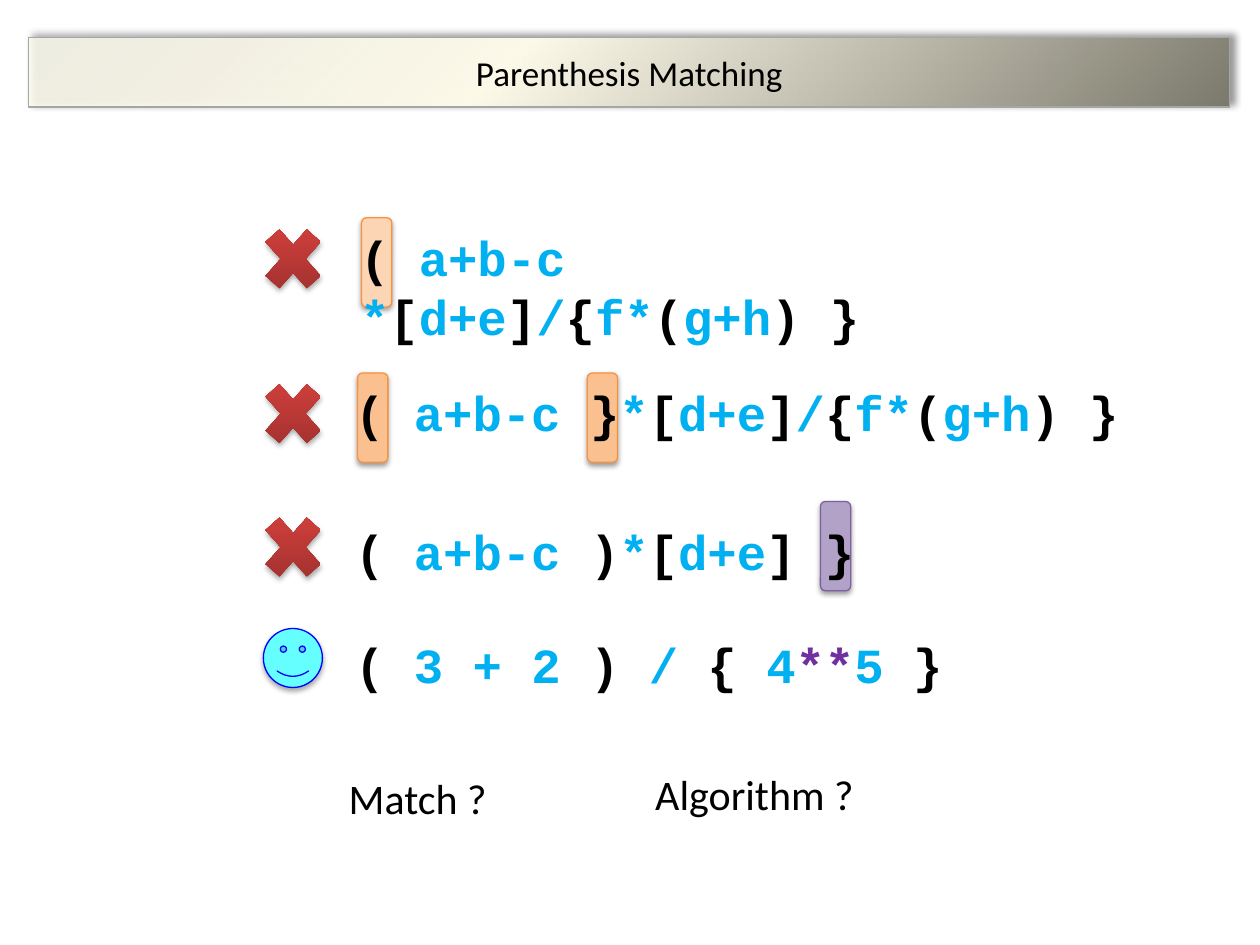
from dataclasses import dataclass
from itertools import groupby

from lxml import etree
from pptx import Presentation
from pptx.dml.color import RGBColor
from pptx.enum.shapes import MSO_SHAPE
from pptx.enum.text import MSO_ANCHOR, PP_ALIGN
from pptx.oxml.ns import qn
from pptx.util import Cm, Pt

ROUND = MSO_SHAPE.ROUNDED_RECTANGLE
CROSS = MSO_SHAPE.MATH_MULTIPLY
SMILE = MSO_SHAPE.SMILEY_FACE
MIDDLE = MSO_ANCHOR.MIDDLE
CENTER = PP_ALIGN.CENTER
LEFT = PP_ALIGN.LEFT


@dataclass(frozen=True)
class Theme:
    body: str = "Calibri"
    code: str = "Courier New"
    title_size: int = 20
    note_size: int = 24
    code_size: int = 28
    ink: str = "000000"
    term: str = "00B0F0"
    power: str = "7030A0"
    edge: str = "A6A6A6"
    peach: str = "FCD5B5"
    orange: str = "FAC090"
    rust: str = "F69240"
    lilac: str = "B3A2C7"
    plum: str = "7D60A0"
    face: str = "66FFFF"
    blue: str = "0000FF"
    bar: tuple = ((0, "FEFCEE", 79), (40, "FDFAEA", 100), (100, "7B796B", 100))
    red: tuple = ((0, "9C2F2D", 100), (80, "CB3E3A", 100), (100, "CE3B37", 100))


THEME = Theme()


def rgb(code):
    return RGBColor.from_string(code)


def add_tone(parent, code, alpha):
    tone = etree.SubElement(parent, qn("a:srgbClr"), val=code)
    if alpha < 100:
        etree.SubElement(tone, qn("a:alpha"), val=str(alpha * 1000))


def set_blend(shape, stops, angle):
    shape.fill.gradient()
    grad = shape.element.spPr.find(qn("a:gradFill"))
    for child in list(grad):
        grad.remove(child)
    group = etree.SubElement(grad, qn("a:gsLst"))
    for pos, code, alpha in stops:
        stop = etree.SubElement(group, qn("a:gs"), pos=str(pos * 1000))
        add_tone(stop, code, alpha)
    etree.SubElement(grad, qn("a:lin"), ang=str(angle * 60000), scaled="0")


def set_shade(shape, alpha, blur, dist, angle):
    shape.shadow.inherit = False
    group = shape.element.spPr.find(qn("a:effectLst"))
    shade = etree.SubElement(
        group, qn("a:outerShdw"), blurRad=str(Pt(blur)), dist=str(Pt(dist)),
        dir=str(angle * 60000), rotWithShape="0")
    add_tone(shade, THEME.ink, alpha)


def set_line(shape, code):
    shape.line.color.rgb = rgb(code)
    shape.line.width = Pt(0.75)


def set_font(para, name, size):
    para.font.name = name
    para.font.size = Pt(size)
    para.font.color.rgb = rgb(THEME.ink)


def set_title(slide, text):
    title = slide.shapes.title
    title.left, title.top = Cm(0.58), Cm(0.76)
    title.width, title.height = Cm(24.21), Cm(1.4)
    set_blend(title, THEME.bar, 45)
    set_line(title, THEME.edge)
    set_shade(title, 40, 4, 3, 315)
    frame = title.text_frame
    frame.text = text
    frame.vertical_anchor = MIDDLE
    para = frame.paragraphs[0]
    para.alignment = CENTER
    set_font(para, THEME.body, THEME.title_size)


def add_mark(slide, left, top, fill, line):
    mark = slide.shapes.add_shape(ROUND, Cm(left), Cm(top), Cm(0.61), Cm(1.8))
    mark.fill.solid()
    mark.fill.fore_color.rgb = rgb(fill)
    set_line(mark, line)
    set_shade(mark, 38, 3.1, 1.6, 90)


def add_cross(slide, top):
    cross = slide.shapes.add_shape(CROSS, Cm(5.11), Cm(top), Cm(1.6), Cm(1.8))
    set_blend(cross, THEME.red, 270)
    cross.line.fill.background()
    set_shade(cross, 35, 3.1, 1.8, 90)


def add_smile(slide, top):
    smile = slide.shapes.add_shape(SMILE, Cm(5.31), Cm(top), Cm(1.19), Cm(1.19))
    smile.fill.solid()
    smile.fill.fore_color.rgb = rgb(THEME.face)
    set_line(smile, THEME.blue)
    set_shade(smile, 35, 3.1, 1.8, 90)


def add_code(slide, text, left, top, width, start):
    box = slide.shapes.add_textbox(Cm(left), Cm(top), Cm(width), Cm(1.45))
    frame = box.text_frame
    frame.word_wrap = True
    frame.margin_left = Cm(start - left)
    para = frame.paragraphs[0]
    set_font(para, THEME.code, THEME.code_size)
    para.font.bold = True

    def tone(char):
        if char in "()[]{} ":
            return THEME.ink
        if char == "*" and "**" in text:
            return THEME.power
        return THEME.term

    for code, chars in groupby(text, tone):
        run = para.add_run()
        run.text = "".join(chars)
        run.font.color.rgb = rgb(code)


def add_note(slide, text, left, top, width, align, wrap):
    box = slide.shapes.add_textbox(Cm(left), Cm(top), Cm(width), Cm(1.27))
    frame = box.text_frame
    frame.word_wrap = wrap
    frame.text = text
    para = frame.paragraphs[0]
    para.alignment = align
    set_font(para, THEME.body, THEME.note_size)


def main():
    deck = Presentation()
    deck.slide_width, deck.slide_height = Cm(25.4), Cm(19.05)
    slide = deck.slides.add_slide(deck.slide_layouts[5])
    set_title(slide, "Parenthesis Matching")

    for mark in (
        (7.29, 4.39, THEME.peach, THEME.rust),
        (7.21, 7.52, THEME.orange, THEME.rust),
        (11.84, 7.52, THEME.orange, THEME.rust),
        (16.54, 10.11, THEME.lilac, THEME.plum),
    ):
        add_mark(slide, *mark)

    for row in (
        ("( a+b-c *[d+e]/{f*(g+h) }", 6.78, 4.47, 15.52, 7.26),
        ("( a+b-c }*[d+e]/{f*(g+h) }", 5.51, 7.59, 17.32, 7.16),
        ("( a+b-c )*[d+e] }", 6.91, 10.39, 13.59, 7.16),
        ("( 3 + 2 ) / { 4**5 }", 6.1, 12.67, 13.34, 7.16),
    ):
        add_code(slide, *row)

    for top in (4.32, 7.44, 10.13):
        add_cross(slide, top)
    add_smile(slide, 12.67)

    add_note(slide, "Match ?", 6.78, 15.44, 3.33, LEFT, False)
    add_note(slide, "Algorithm ?", 12.01, 15.37, 6.4, CENTER, True)
    deck.save("out.pptx")


if __name__ == "__main__":
    main()
